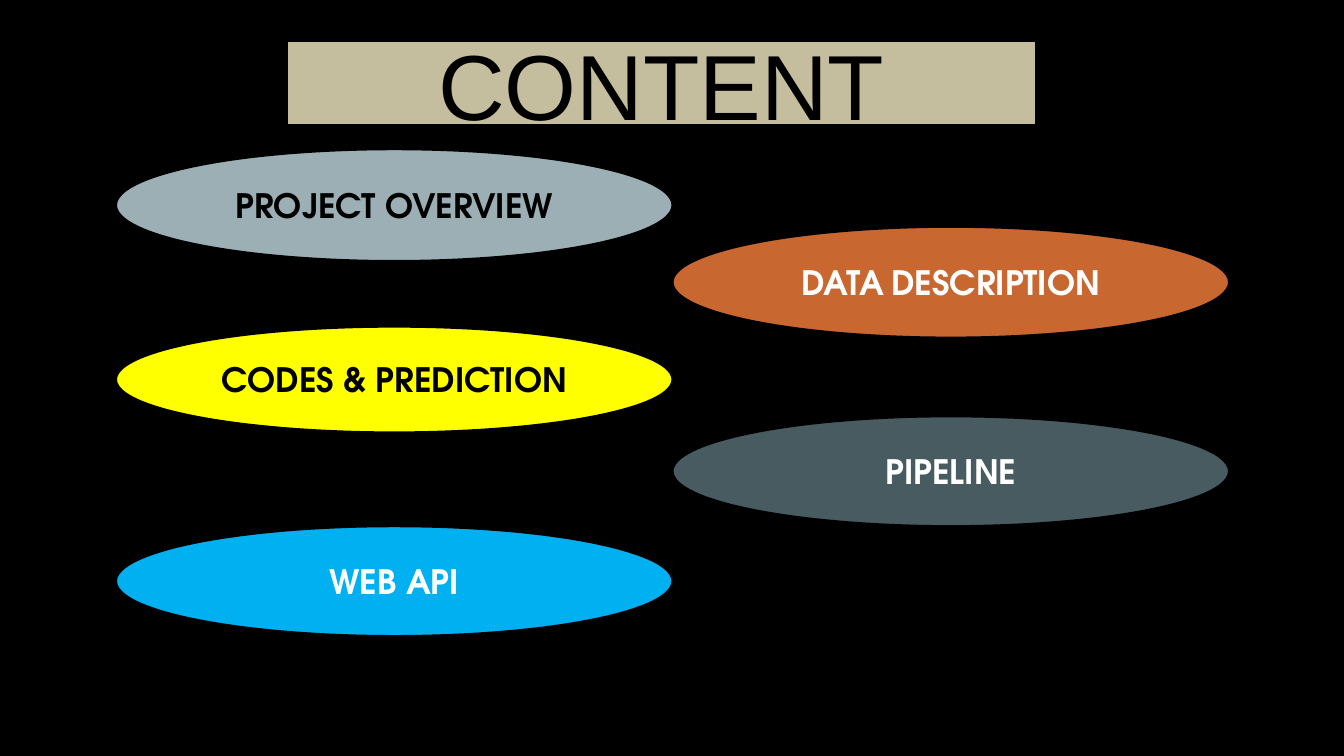
from dataclasses import dataclass

from lxml import etree
from pptx import Presentation
from pptx.dml.color import RGBColor
from pptx.enum import shapes, text
from pptx.oxml.ns import qn
from pptx.util import Inches, Pt


@dataclass(frozen=True)
class Theme:
    black: str = "000000"
    white: str = "FFFFFF"
    sand: str = "DAD2B0"
    mist: str = "9BAFB5"
    rust: str = "C96731"
    yellow: str = "FFFF00"
    slate: str = "475B61"
    sky: str = "00B0F0"
    title_font: str = "Arial"
    topic_font: str = "TeX Gyre Adventor"
    title_size: int = 66
    topic_size: int = 24
    gap_size: int = 18


THEME = Theme()
LEFT, RIGHT = 1.15, 6.67  # columns of the topic ellipses
TOPIC_WIDTH = 5.52

# Label, column, top, height, fill, text colour
TOPICS = [
    ("PROJECT OVERVIEW", LEFT, 1.48, 1.11, THEME.mist, THEME.black),
    ("DATA DESCRIPTION", RIGHT, 2.25, 1.1, THEME.rust, THEME.white),
    ("CODES & PREDICTION", LEFT, 3.24, 1.05, THEME.yellow, THEME.black),
    ("PIPELINE", RIGHT, 4.13, 1.09, THEME.slate, THEME.white),
    ("WEB API", LEFT, 5.22, 1.09, THEME.sky, THEME.white),
]


def paint(sp, fill, line_width):
    """Give a shape a solid fill and a black outline."""
    sp.fill.solid()
    sp.fill.fore_color.rgb = RGBColor.from_string(fill)
    sp.line.color.rgb = RGBColor.from_string(THEME.black)
    sp.line.width = Pt(line_width)


def style_text(sp, font, size, color, bold=False):
    """Centre the text of a shape and set its font."""
    tf = sp.text_frame
    tf.word_wrap = True
    tf.auto_size = text.MSO_AUTO_SIZE.NONE
    tf.vertical_anchor = text.MSO_ANCHOR.MIDDLE
    p = tf.paragraphs[0]
    p.alignment = text.PP_ALIGN.CENTER
    p.font.name = font
    p.font.size = Pt(size)
    p.font.bold = bold
    p.font.color.rgb = RGBColor.from_string(color)
    return p


def add_title(s, label):
    """Turn the title placeholder into a translucent rounded banner."""
    sp = s.shapes.title
    sp.left, sp.top = Inches(2.84), Inches(0.4)
    sp.width, sp.height = Inches(7.44), Inches(0.85)
    geometry = etree.SubElement(sp.element.spPr, qn("a:prstGeom"), prst="roundRect")
    etree.SubElement(geometry, qn("a:avLst"))
    paint(sp, THEME.sand, 2.25)
    color = sp.element.spPr.find(qn("a:solidFill"))[0]
    etree.SubElement(color, qn("a:alpha"), val="90000")
    sp.text_frame.text = label
    style_text(sp, THEME.title_font, THEME.title_size, THEME.black)


def add_topic(s, label, left, top, height, fill, color):
    """Add one ellipse with a bold topic label."""
    sp = s.shapes.add_shape(shapes.MSO_SHAPE.OVAL, Inches(left), Inches(top),
                            Inches(TOPIC_WIDTH), Inches(height))
    sp.shadow.inherit = False
    paint(sp, fill, 1.5)
    p = style_text(sp, THEME.topic_font, THEME.topic_size, color, bold=True)
    if label != "DATA DESCRIPTION":
        p.add_run().text = label
        return
    # This label has a narrower, regular-weight space
    for part in ("DATA", " ", "DESCRIPTION"):
        r = p.add_run()
        r.text = part
        if part == " ":
            r.font.size = Pt(THEME.gap_size)
            r.font.bold = False


def main():
    prs = Presentation()
    prs.slide_width, prs.slide_height = Inches(13.33), Inches(7.5)
    s = prs.slides.add_slide(prs.slide_layouts[5])

    # Background
    s.background.fill.solid()
    s.background.fill.fore_color.rgb = RGBColor.from_string(THEME.black)

    # Title and topics
    add_title(s, "CONTENT")
    for topic in TOPICS:
        add_topic(s, *topic)

    prs.save("out.pptx")


if __name__ == "__main__":
    main()
